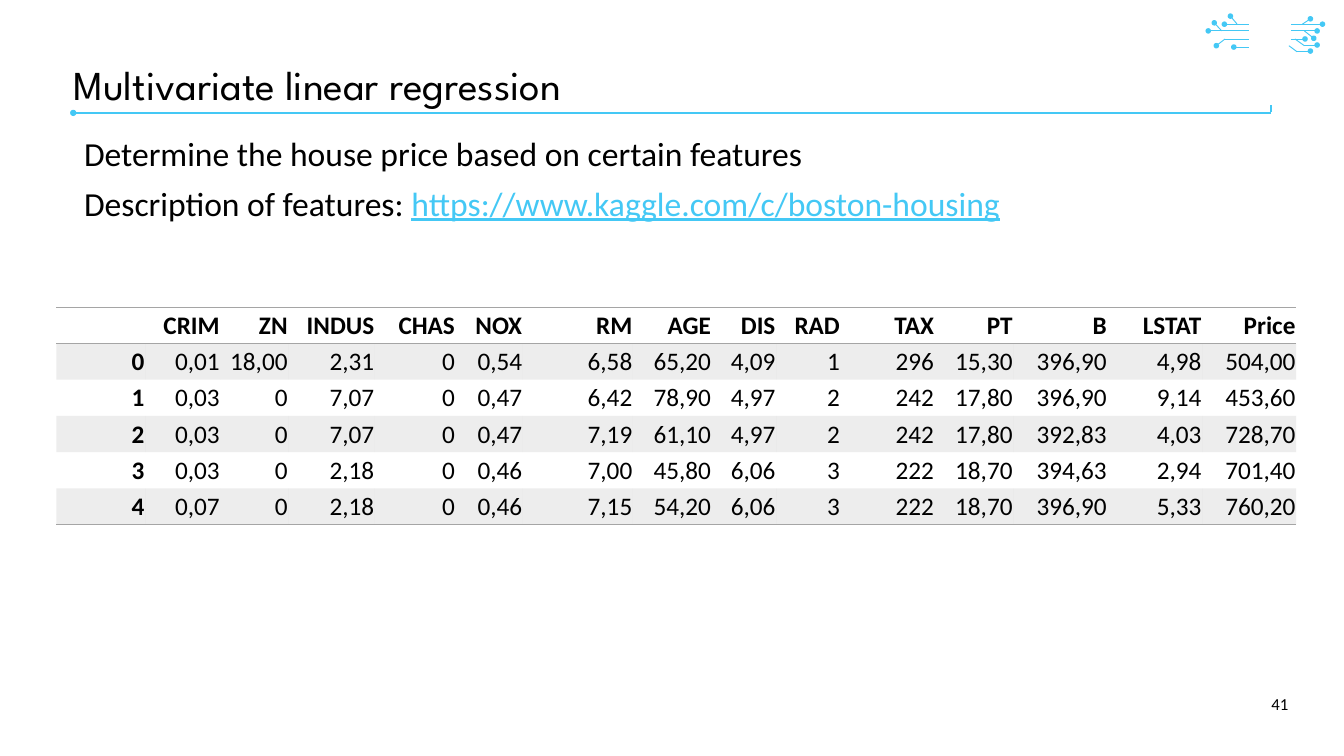
from lxml.etree import SubElement
from pptx import Presentation
from pptx.dml.color import RGBColor
from pptx.enum.shapes import MSO_CONNECTOR
from pptx.enum.text import MSO_ANCHOR, MSO_AUTO_SIZE, PP_ALIGN
from pptx.oxml import parse_xml
from pptx.oxml.ns import nsdecls, qn
from pptx.util import Emu, Pt

PX = 9144
COLORS = {"accent": "44C8F5", "text": "000000", "rule": "A5A5A5"}
NO_STYLE = "{2D5ABB26-0587-4C30-8999-92F81FD0307C}"

DOTTED_TRACES = [
    (1858, 36, 1822, 36), (1858, 46, 1798, 46), (1823, 58, 1810, 68),
    (1858, 70, 1836, 70), (1841, 36, 1831, 24), (1818, 46, 1807, 34),
    (1921, 46, 1960, 46), (1940, 67, 1960, 67), (1921, 58, 1942, 58),
    (1941, 46, 1955, 57), (1921, 36, 1968, 36), (1930, 76, 1950, 76),
    (1938, 36, 1950, 28),
]
PLAIN_TRACES = [(1858, 58, 1822, 58), (1941, 68, 1927, 58), (1930, 77, 1918, 68)]

COLUMN_WIDTHS = [132, 112, 101, 129, 120, 100, 164, 117, 96, 96, 140, 117, 140, 141, 140]
HOUSES = [
    ["", "CRIM", "ZN", "INDUS", "CHAS", "NOX", "RM", "AGE", "DIS", "RAD", "TAX", "PT", "B", "LSTAT", "Price"],
    ["0", "0,01", "18,00", "2,31", "0", "0,54", "6,58", "65,20", "4,09", "1", "296", "15,30", "396,90", "4,98", "504,00"],
    ["1", "0,03", "0", "7,07", "0", "0,47", "6,42", "78,90", "4,97", "2", "242", "17,80", "396,90", "9,14", "453,60"],
    ["2", "0,03", "0", "7,07", "0", "0,47", "7,19", "61,10", "4,97", "2", "242", "17,80", "392,83", "4,03", "728,70"],
    ["3", "0,03", "0", "2,18", "0", "0,46", "7,00", "45,80", "6,06", "3", "222", "18,70", "394,63", "2,94", "701,40"],
    ["4", "0,07", "0", "2,18", "0", "0,46", "7,15", "54,20", "6,06", "3", "222", "18,70", "396,90", "5,33", "760,20"],
]


def px(length):
    """Turn px into EMU."""
    return Emu(length * PX)


def color(name):
    """Look up a named colour."""
    return RGBColor.from_string(COLORS[name])


def place(shape, left, top, width, height):
    """Move and size a shape."""
    shape.left, shape.top = px(left), px(top)
    shape.width, shape.height = px(width), px(height)


def set_insets(target, left, top, right, bottom):
    """Set the margins of a text frame or cell."""
    target.margin_left, target.margin_top = px(left), px(top)
    target.margin_right, target.margin_bottom = px(right), px(bottom)


def add_run(paragraph, text, size, font="Calibri", ink="text", bold=False, underline=False):
    """Add one formatted run."""
    run = paragraph.add_run()
    run.text = text
    run.font.name, run.font.size = font, Pt(size)
    run.font.bold, run.font.underline = bold, underline
    run.font.color.rgb = color(ink)


def add_trace(slide, ends, weight=1, dotted=False):
    """Draw an accent line, with an optional dot at its end."""
    trace = slide.shapes.add_connector(MSO_CONNECTOR.STRAIGHT, *map(px, ends))
    trace.line.color.rgb = color("accent")
    trace.line.width = Pt(weight)
    if dotted:
        SubElement(trace.get_or_add_ln(), qn("a:tailEnd"), type="oval")
    SubElement(trace.element.spPr, qn("a:effectLst"))


def add_circuit(slide):
    """Draw the circuit ornament and the title rule."""
    for ends in DOTTED_TRACES:
        add_trace(slide, ends, dotted=True)
    for ends in PLAIN_TRACES:
        add_trace(slide, ends)
    add_trace(slide, (1891, 168, 109, 168), 2.25, dotted=True)
    add_trace(slide, (1891, 167, 1891, 157), 2.25)


def fill_title(title, text):
    """Place and fill the title."""
    place(title, 109, 97, 1639, 69)
    frame = title.text_frame
    frame.auto_size = MSO_AUTO_SIZE.NONE
    frame.vertical_anchor = MSO_ANCHOR.TOP
    set_insets(frame, 0, 0, 0, 0)
    heading = frame.paragraphs[0]
    heading.alignment = PP_ALIGN.LEFT
    heading.line_spacing = 0.9
    add_run(heading, text, 44, "League Spartan")


def fill_body(body, lines):
    """Place the body and fill it with unbulleted lines of runs."""
    place(body, 115, 199, 1813, 668)
    frame = body.text_frame
    frame.auto_size = MSO_AUTO_SIZE.NONE
    for index, runs in enumerate(lines):
        line = frame.add_paragraph() if index else frame.paragraphs[0]
        properties = line._p.get_or_add_pPr()
        properties.set("marL", "0")
        properties.set("indent", "0")
        SubElement(properties, qn("a:buNone"))
        line.line_spacing = 0.9
        line.space_before = Pt(15 if index else 0)
        for text, style in runs:
            add_run(line, text, 36, **style)


def add_page_number(slide, number):
    """Add the page number."""
    box = slide.shapes.add_textbox(px(1818), px(1018), px(109), px(60))
    box.text_frame.word_wrap = True
    box.text_frame.vertical_anchor = MSO_ANCHOR.MIDDLE
    page = box.text_frame.paragraphs[0]
    page.alignment = PP_ALIGN.RIGHT
    add_run(page, number, 18)


def add_border(cell, side):
    """Draw a rule on one side of a cell, lnT or lnB."""
    cell._tc.get_or_add_tcPr().insert(0, parse_xml(
        f'<a:{side} {nsdecls("a")} w="12700"><a:solidFill>'
        f'<a:srgbClr val="{COLORS["rule"]}"/></a:solidFill></a:{side}>'))


def shade(cell):
    """Give a cell the pale band fill."""
    cell.fill.solid()
    cell.fill.fore_color.rgb = color("rule")
    band = cell._tc.tcPr.find(".//" + qn("a:srgbClr"))
    SubElement(band, qn("a:alpha"), val="20000")


def fill_cell(cell, text, bold):
    """Write one right-aligned value."""
    set_insets(cell, 1, 1, 1, 0)
    cell.vertical_anchor = MSO_ANCHOR.MIDDLE
    value = cell.text_frame.paragraphs[0]
    value.alignment = PP_ALIGN.RIGHT
    if text:
        add_run(value, text, 27, bold=bold)


def add_house_table(slide):
    """Add the banded table of house features."""
    holder = slide.shapes.add_table(
        len(HOUSES), len(COLUMN_WIDTHS), px(84), px(457), px(sum(COLUMN_WIDTHS)), px(54 * len(HOUSES)))
    holder.element.find(".//" + qn("a:tableStyleId")).text = NO_STYLE
    table = holder.table
    for column, width in zip(table.columns, COLUMN_WIDTHS):
        column.width = px(width)
    for row, house in enumerate(HOUSES):
        for column, text in enumerate(house):
            cell = table.cell(row, column)
            fill_cell(cell, text, bold=row == 0 or column == 0)
            if row % 2:
                shade(cell)
            else:
                cell.fill.background()
            if row in (0, len(HOUSES) - 1):
                add_border(cell, "lnB")
            if row == 0:
                add_border(cell, "lnT")


def main():
    """Build and save the slide."""
    deck = Presentation()
    deck.slide_width, deck.slide_height = px(2000), px(1125)
    slide = deck.slides.add_slide(deck.slide_layouts[1])
    add_circuit(slide)
    fill_title(slide.shapes.title, "Multivariate linear regression")
    fill_body(slide.placeholders[1], [
        [("Determine the house price based on certain features", {})],
        [("Description of features: ", {}),
         ("https://www.kaggle.com/c/boston-housing", {"ink": "accent", "underline": True})],
    ])
    add_page_number(slide, "41")
    add_house_table(slide)
    deck.save("out.pptx")


if __name__ == "__main__":
    main()
